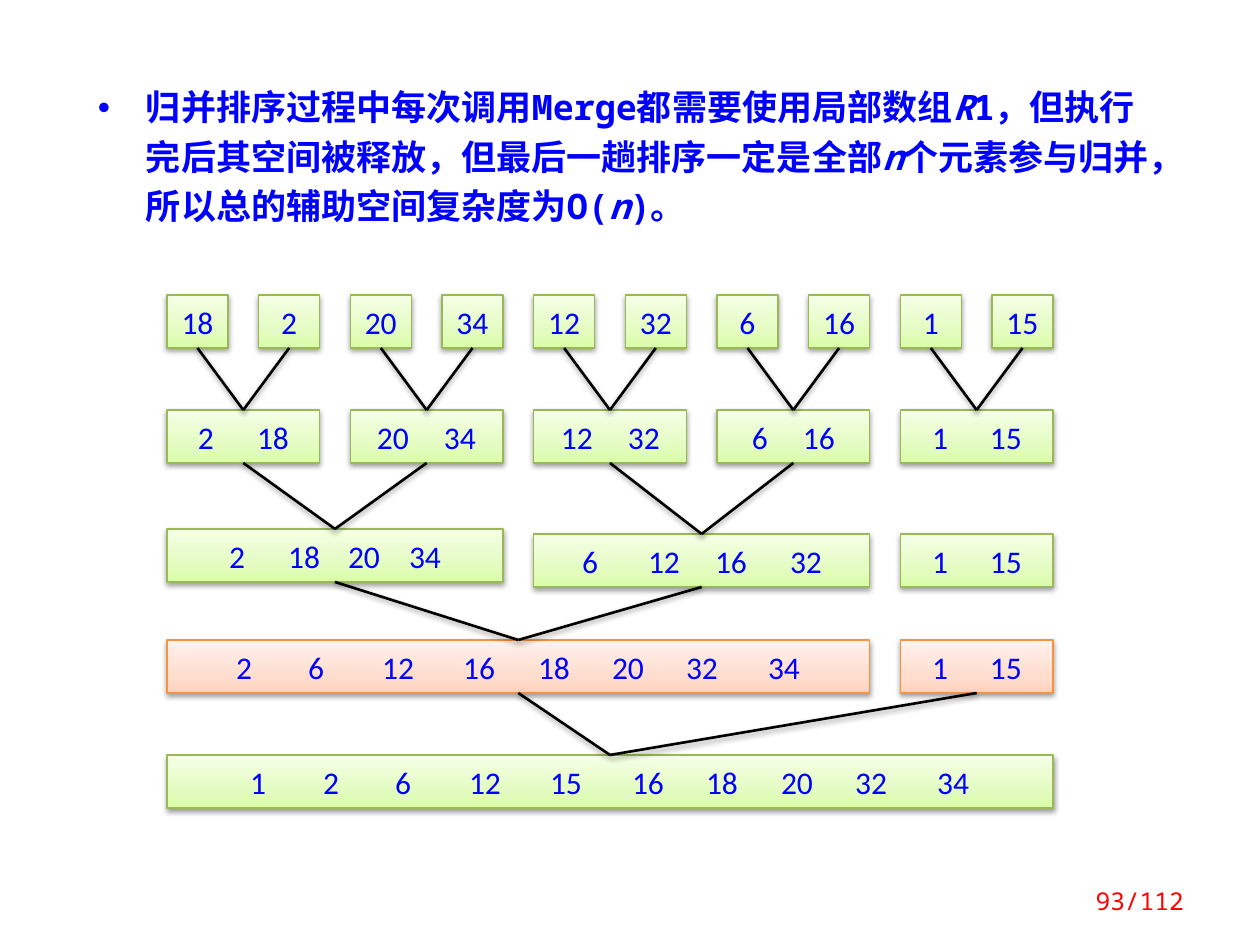
from itertools import pairwise

from pptx import Presentation
from pptx.dml.color import RGBColor
from pptx.enum.lang import MSO_LANGUAGE_ID
from pptx.enum.shapes import MSO_CONNECTOR, MSO_SHAPE
from pptx.enum.text import MSO_ANCHOR, PP_ALIGN
from pptx.oxml import parse_xml
from pptx.oxml.ns import nsdecls, qn
from pptx.util import Pt

RECTANGLE, STRAIGHT = MSO_SHAPE.RECTANGLE, MSO_CONNECTOR.STRAIGHT
TOP, MIDDLE = MSO_ANCHOR.TOP, MSO_ANCHOR.MIDDLE
LEFT, CENTER, RIGHT = PP_ALIGN.LEFT, PP_ALIGN.CENTER, PP_ALIGN.RIGHT
CHINESE = MSO_LANGUAGE_ID.SIMPLIFIED_CHINESE

BLUE, RED = RGBColor(0, 0, 255), RGBColor(255, 0, 0)
BLACK, WHITE = RGBColor(0, 0, 0), RGBColor(255, 255, 255)
GREEN_LINE, ORANGE_LINE = RGBColor(0x98, 0xB9, 0x55), RGBColor(0xF6, 0x92, 0x40)
GREEN = GREEN_LINE, ((0, RGBColor(0xDA, 0xFD, 0xA7)), (35, RGBColor(0xE4, 0xFC, 0xC2)),
                     (100, RGBColor(0xF5, 0xFF, 0xE7)))
ORANGE = ORANGE_LINE, ((0, RGBColor(0xFF, 0xD2, 0xBD)), (35, RGBColor(0xFF, 0xDE, 0xD0)),
                       (100, RGBColor(0xFF, 0xF2, 0xED)))
BODY_FONT, NUMBER_FONT = "Noto Sans Mono", "Calibri"

EXPLANATION = [
    ("归并排序过程中每次调用Merge都需要使用局部数组", False),
    ("R", True),
    ("1，但执行完后其空间被释放，但最后一趟排序一定是全部", False),
    ("n", True),
    ("个元素参与归并，所以总的辅助空间复杂度为O(", False),
    ("n", True),
    (")。", False),
]
PAGE = "93/112"

# Each run is (top, {number: centre}); a lone number is centred in its cell.
UNSORTED = (18, 2, 20, 34, 12, 32, 6, 16, 1, 15)
LAST_PAIR = {1: 940, 15: 1006}
PASSES = [
    (GREEN, [(295, {number: None}) for number in UNSORTED]),
    (GREEN, [(410, {2: 206, 18: 273}), (410, {20: 393, 34: 460}),
             (410, {12: 577, 32: 644}), (410, {6: 760, 16: 819}), (410, LAST_PAIR)]),
    (GREEN, [(529, {2: 237, 18: 304, 20: 364, 34: 425}),
             (534, {6: 590, 12: 664, 16: 731, 32: 806}), (534, LAST_PAIR)]),
    (ORANGE, [(640, {2: 244, 6: 316, 12: 398, 16: 479, 18: 554, 20: 628, 32: 702, 34: 784}),
              (640, LAST_PAIR)]),
    (GREEN, [(755, {1: 258, 2: 331, 6: 403, 12: 485, 15: 566, 16: 648, 18: 722,
                    20: 797, 32: 871, 34: 953})]),
]
GRID_LEFT, GRID_RIGHT, CELL_WIDTH, CELL_HEIGHT = 167, 1053, 61, 53
PITCH = (GRID_RIGHT - GRID_LEFT - CELL_WIDTH) / (len(UNSORTED) - 1)


def px(length):
    """Turn px into EMU at 126 px to the inch."""
    return round(length * 914400 / 126)


def write(shape, runs, *, font, size, color, bold=None, align=LEFT, anchor=MIDDLE,
          insets=(13, 6, 13, 6), leading=None, hanging=0, stops=()):
    """Fill a shape with one formatted paragraph of (text, italic) runs."""
    frame = shape.text_frame
    frame.word_wrap, frame.vertical_anchor = True, anchor
    (frame.margin_left, frame.margin_top,
     frame.margin_right, frame.margin_bottom) = map(px, insets)
    paragraph = frame.paragraphs[0]
    properties = paragraph._p.get_or_add_pPr()
    if hanging:
        properties.set("marL", str(px(hanging)))
        properties.set("indent", str(-px(hanging)))
        properties.append(parse_xml(f'<a:buFont {nsdecls("a")} typeface="Arial"/>'))
        properties.append(parse_xml(f'<a:buChar {nsdecls("a")} char="•"/>'))
    if stops:
        tabs = "".join(f'<a:tab pos="{px(stop)}" algn="ctr"/>' for stop in stops)
        properties.append(parse_xml(f'<a:tabLst {nsdecls("a")}>{tabs}</a:tabLst>'))
    paragraph.alignment = align
    if leading:
        paragraph.line_spacing = Pt(leading)
    for text, italic in runs:
        run = paragraph.add_run()
        run.text = text
        run.font.name, run.font.size, run.font.bold = font, Pt(size), bold
        run.font.italic, run.font.color.rgb = italic, color
        run.font.language_id = CHINESE
        run._r.get_or_add_rPr().append(parse_xml(f'<a:ea {nsdecls("a")} typeface="{font}"/>'))


def cast_shadow(element):
    """Add the soft drop shadow shared by boxes and connectors."""
    element.spPr.append(parse_xml(
        f'<a:effectLst {nsdecls("a")}><a:outerShdw blurRad="40000" dist="20000" dir="5400000" '
        f'rotWithShape="0"><a:srgbClr val="{BLACK}"><a:alpha val="38000"/></a:srgbClr>'
        '</a:outerShdw></a:effectLst>'))


def add_run_box(slide, column, top, numbers, theme):
    """Draw one sorted run across as many columns as it has numbers."""
    left = GRID_LEFT + column * PITCH
    width = (len(numbers) - 1) * PITCH + CELL_WIDTH
    box = slide.shapes.add_shape(RECTANGLE, px(left), px(top), px(width), px(CELL_HEIGHT))
    outline, gradient = theme
    stops = "".join(f'<a:gs pos="{place * 1000}"><a:srgbClr val="{color}"/></a:gs>'
                    for place, color in gradient)
    box._element.spPr.find(qn("a:prstGeom")).addnext(parse_xml(
        f'<a:gradFill {nsdecls("a")} rotWithShape="1"><a:gsLst>{stops}</a:gsLst>'
        '<a:lin ang="16200000" scaled="0"/></a:gradFill>'))
    box.line.color.rgb, box.line.width = outline, Pt(0.75)
    cast_shadow(box._element)
    single = len(numbers) == 1
    text = "".join(str(number) if single else f"\t{number}" for number in numbers)
    write(box, [(text, None)], font=NUMBER_FONT, size=18, color=BLUE, leading=22,
          insets=(0, 6, 0, 6), align=CENTER if single else LEFT,
          stops=() if single else [centre - left for centre in numbers.values()])
    return box


def add_merge_line(slide, source, merged):
    """Join the bottom of a run to the top of the run it merges into."""
    line = slide.shapes.add_connector(STRAIGHT, 0, 0, 0, 0)
    line.begin_connect(source, 2)
    line.end_connect(merged, 0)
    line.line.color.rgb, line.line.width = BLACK, Pt(1.5)
    cast_shadow(line._element)


def main():
    """Build the merge sort slide."""
    deck = Presentation()
    deck.slide_width, deck.slide_height = px(1260), px(945)
    slide = deck.slides.add_slide(deck.slide_layouts[6])

    explanation = slide.shapes.add_shape(RECTANGLE, px(78), px(59), px(1103), px(184))
    explanation.shadow.inherit = False
    explanation.fill.solid()
    explanation.fill.fore_color.rgb = WHITE
    explanation.line.fill.background()
    write(explanation, EXPLANATION, font=BODY_FONT, size=20, color=BLUE, bold=True,
          anchor=TOP, insets=(20, 20, 12, 20), leading=28, hanging=48)

    levels = []
    for theme, runs in PASSES:
        level, column = [], 0
        for top, numbers in runs:
            box = add_run_box(slide, column, top, numbers, theme)
            level.append((box, column, column + len(numbers)))
            column += len(numbers)
        levels.append(level)

    for sources, targets in pairwise(levels):
        for source, first, end in sources:
            for merged, merged_first, merged_end in targets:
                inside = merged_first <= first and end <= merged_end
                if inside and merged_end - merged_first > end - first:
                    add_merge_line(slide, source, merged)

    page = slide.shapes.add_textbox(px(1043), px(876), px(154), px(50))
    write(page, [(PAGE, None)], font=BODY_FONT, size=14, color=RED, align=RIGHT)
    deck.save("out.pptx")


if __name__ == "__main__":
    main()
